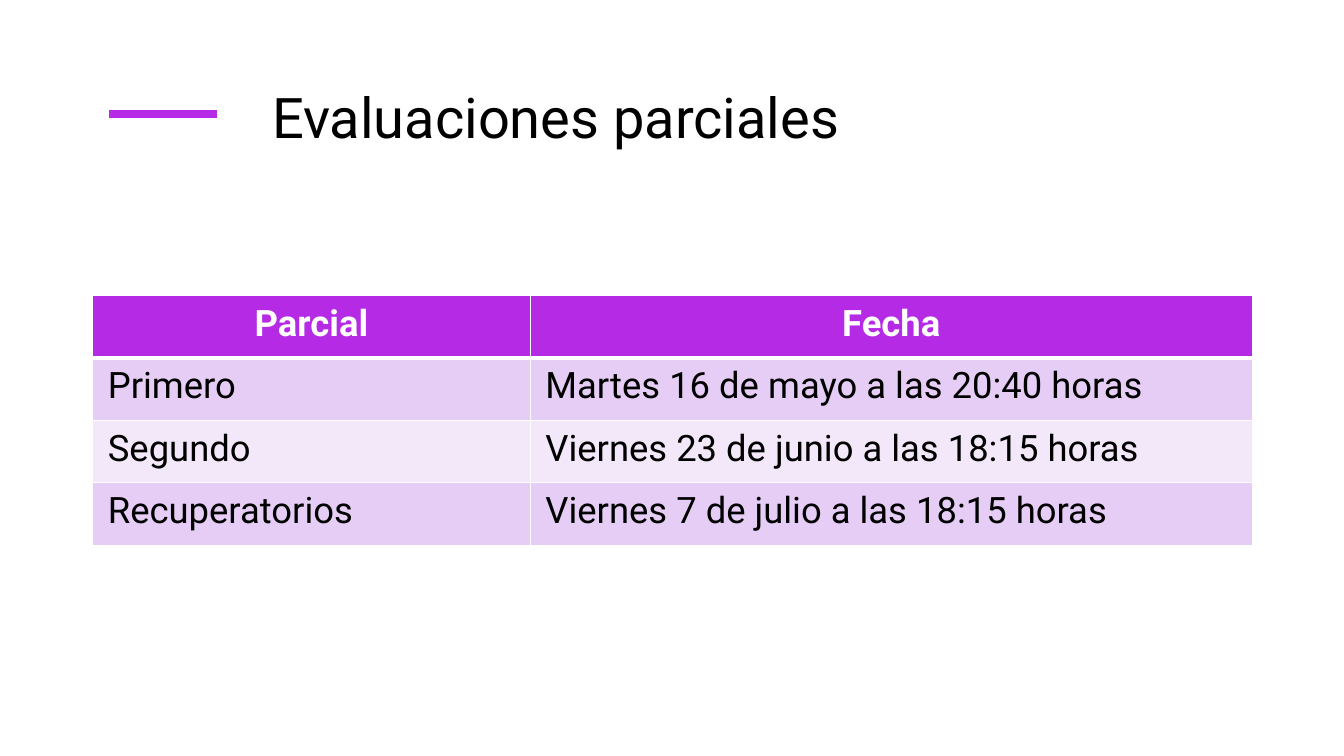
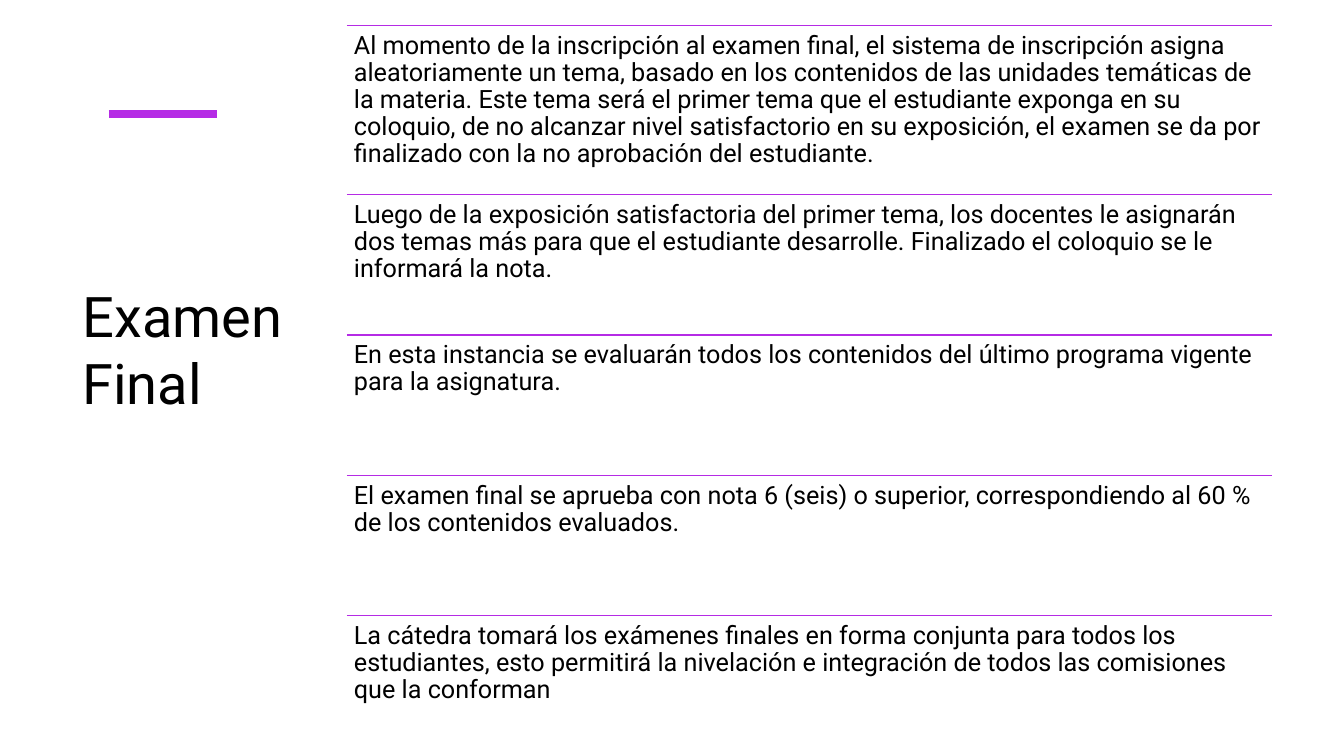
"""Builds two slides on course assessment: midterm dates and final exam rules."""
import pptx
import pptx.dml.color
import pptx.enum.shapes
import pptx.enum.text
import pptx.oxml
import pptx.oxml.ns
import pptx.util
from pptx.util import Inches, Pt

FONT = "Roboto"
PURPLE, LILAC, PALE, BLACK, WHITE = "B52BE5", "E5CDF5", "F3E8FA", "000000", "FFFFFF"
ANCHOR = pptx.enum.text.MSO_ANCHOR
CENTER = pptx.enum.text.PP_ALIGN.CENTER

MIDTERM_TITLE = "Evaluaciones parciales"
MIDTERMS = [
    ("Parcial", "Fecha"),
    ("Primero", "Martes 16 de mayo a las 20:40 horas"),
    ("Segundo", "Viernes 23 de junio a las 18:15 horas"),
    ("Recuperatorios", "Viernes 7 de julio a las 18:15 horas"),
]
COLUMN_WIDTHS = (4.34, 7.16)
ROW_HEIGHT = 0.62

FINAL_TITLE = "Examen Final"
FINAL_RULES = [
    "Al momento de la inscripción al examen final, el sistema de inscripción asigna "
    "aleatoriamente un tema, basado en los contenidos de las unidades temáticas de la "
    "materia. Este tema será el primer tema que el estudiante exponga en su coloquio, de "
    "no alcanzar nivel satisfactorio en su exposición, el examen se da por finalizado con "
    "la no aprobación del estudiante.",
    "Luego de la exposición satisfactoria del primer tema, los docentes le asignarán dos "
    "temas más para que el estudiante desarrolle. Finalizado el coloquio se le informará "
    "la nota.",
    "En esta instancia se evaluarán todos los contenidos del último programa vigente para "
    "la asignatura.",
    "El examen final se aprueba con nota 6 (seis) o superior, correspondiendo al 60 % de "
    "los contenidos evaluados.",
    "La cátedra tomará los exámenes finales en forma conjunta para todos los estudiantes, "
    "esto permitirá la nivelación e integración de todos las comisiones que la conforman",
]
RULES_LEFT, RULES_WIDTH = 3.44, 9.18
RULES_TOP, FIRST_RULE_HEIGHT, RULES_BOTTOM = 0.25, 1.68, 7.5


def color(value):
    return pptx.dml.color.RGBColor.from_string(value)


def write(paragraph, text, size, ink=BLACK, bold=False):
    run = paragraph.add_run()
    run.text = text
    run.font.name = FONT
    run.font.size = Pt(size)
    run.font.bold = bold
    run.font.color.rgb = color(ink)


def add_rule(slide, left, top, width, weight):
    rule = slide.shapes.add_connector(
        pptx.enum.shapes.MSO_CONNECTOR.STRAIGHT,
        Inches(left), Inches(top), Inches(left + width), Inches(top))
    rule.line.color.rgb = color(PURPLE)
    rule.line.width = Pt(weight)
    pptx.oxml.ns.qn("a:effectLst")
    rule._element.spPr.append(pptx.oxml.parse_xml(
        f"<a:effectLst {pptx.oxml.ns.nsdecls('a')}/>"))


def add_text(slide, box, text, size, anchor=ANCHOR.TOP, inset=None):
    frame = slide.shapes.add_textbox(*map(Inches, box)).text_frame
    frame.word_wrap = True
    frame.vertical_anchor = anchor
    if inset is not None:
        frame.margin_left = frame.margin_right = Inches(inset)
        frame.margin_top = frame.margin_bottom = Inches(inset)
    paragraph = frame.paragraphs[0]
    write(paragraph, text, size)
    return paragraph


def add_titled_slide(deck, title, box, anchor):
    slide = deck.slides.add_slide(deck.slide_layouts[6])
    add_rule(slide, 1.08, 1.13, 1.07, 6)
    add_text(slide, box, title, 40, anchor)
    return slide


def add_borders(cell, **weights):
    for side in "LRTB":
        cell._tc.get_or_add_tcPr().append(pptx.oxml.parse_xml(
            f"<a:ln{side} {pptx.oxml.ns.nsdecls('a')} w='{Pt(weights.get(side, 1))}'>"
            f"<a:solidFill><a:srgbClr val='{WHITE}'/></a:solidFill></a:ln{side}>"))


def add_midterms(deck):
    slide = add_titled_slide(deck, MIDTERM_TITLE, (2.6, 0.42, 6.41, 1.11), ANCHOR.BOTTOM)
    table = slide.shapes.add_table(
        len(MIDTERMS), len(COLUMN_WIDTHS), Inches(0.92), Inches(2.93),
        Inches(sum(COLUMN_WIDTHS)), Inches(ROW_HEIGHT * len(MIDTERMS))).table
    for column, width in zip(table.columns, COLUMN_WIDTHS):
        column.width = Inches(width)
    for row, texts in enumerate(MIDTERMS):
        header = row == 0
        table.rows[row].height = Inches(ROW_HEIGHT)
        for column, text in enumerate(texts):
            cell = table.cell(row, column)
            cell.margin_left = cell.margin_right = Inches(0.15)
            cell.margin_top = cell.margin_bottom = Inches(0.07)
            add_borders(cell, T=3 if row == 1 else 1, B=3 if header else 1)
            cell.fill.solid()
            cell.fill.fore_color.rgb = color(PURPLE if header else (PALE, LILAC)[row % 2])
            paragraph = cell.text_frame.paragraphs[0]
            if header:
                paragraph.alignment = CENTER
            write(paragraph, text, 26, WHITE if header else BLACK, header)


def add_final(deck):
    slide = add_titled_slide(deck, FINAL_TITLE, (0.72, 0.47, 3.1, 5.97), ANCHOR.MIDDLE)
    second_top = RULES_TOP + FIRST_RULE_HEIGHT
    step = (RULES_BOTTOM - second_top) / (len(FINAL_RULES) - 1)
    for index, text in enumerate(FINAL_RULES):
        top = second_top + (index - 1) * step if index else RULES_TOP
        height = step if index else FIRST_RULE_HEIGHT
        add_rule(slide, RULES_LEFT, top, RULES_WIDTH, 1)
        paragraph = add_text(
            slide, (RULES_LEFT, top, RULES_WIDTH, height), text, 18, inset=0.07)
        paragraph.line_spacing = 0.9


def main():
    deck = pptx.Presentation()
    deck.slide_width, deck.slide_height = Inches(13.33), Inches(7.5)
    add_midterms(deck)
    add_final(deck)
    deck.save("out.pptx")


if __name__ == "__main__":
    main()
